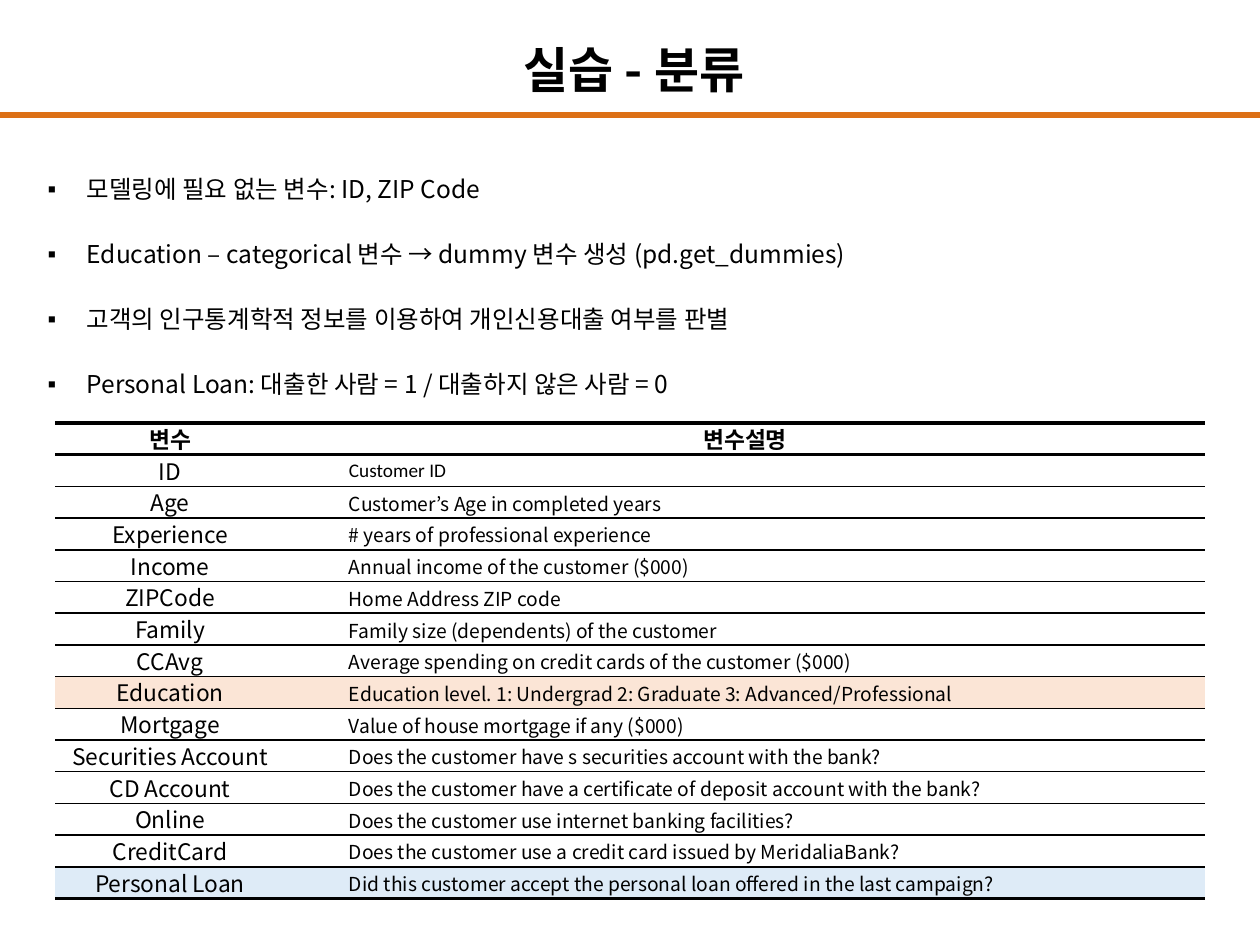
"""Build the classification exercise slide with its variable table."""
import pptx
import pptx.dml.color
import pptx.enum.shapes
import pptx.enum.text
import pptx.oxml
import pptx.oxml.ns
import pptx.util

PX = 914400 // 126
BLACK = pptx.dml.color.RGBColor(0x00, 0x00, 0x00)
WHITE = pptx.dml.color.RGBColor(0xFF, 0xFF, 0xFF)
ORANGE = pptx.dml.color.RGBColor(0xDC, 0x70, 0x16)
PEACH = pptx.dml.color.RGBColor(0xFB, 0xE5, 0xD6)
PALE_BLUE = pptx.dml.color.RGBColor(0xDE, 0xEB, 0xF7)
KOREAN_FONT = "Noto Sans CJK KR"
LATIN_FONT = "Calibri"
NAMESPACE = pptx.oxml.ns.nsdecls("a")

BULLETS = [
    "모델링에 필요 없는 변수: ID, ZIP Code",
    "Education – categorical 변수 → dummy 변수 생성 (pd.get_dummies)",
    "고객의 인구통계학적 정보를 이용하여 개인신용대출 여부를 판별",
    "Personal Loan: 대출한 사람 = 1 / 대출하지 않은 사람 = 0",
]
VARIABLES = [
    ("변수", "변수설명"),
    ("ID", "Customer ID"),
    ("Age", "Customer’s Age in completed years"),
    ("Experience", "# years of professional experience"),
    ("Income", "Annual income of the customer ($000)"),
    ("ZIPCode", "Home Address ZIP code"),
    ("Family", "Family size (dependents) of the customer"),
    ("CCAvg", "Average spending on credit cards of the customer ($000)"),
    ("Education", "Education level. 1: Undergrad 2: Graduate 3: Advanced/Professional"),
    ("Mortgage", "Value of house mortgage if any ($000)"),
    ("Securities Account", "Does the customer have s securities account with the bank?"),
    ("CD Account", "Does the customer have a certificate of deposit account with the bank?"),
    ("Online", "Does the customer use internet banking facilities?"),
    ("CreditCard", "Does the customer use a credit card issued by MeridaliaBank?"),
    ("Personal Loan", "Did this customer accept the personal loan offered in the last campaign?"),
]
ROW_FILLS = {"Education": PEACH, "Personal Loan": PALE_BLUE}


def format_runs(paragraph, size, bold=False, name=KOREAN_FONT):
    for run in paragraph.runs:
        run.font.size = pptx.util.Pt(size)
        run.font.bold = bold
        run.font.name = name
        run.font.color.rgb = BLACK
        run.font._element.set("kern", "0")
        run.font._element.find(pptx.oxml.ns.qn("a:latin")).addnext(
            pptx.oxml.parse_xml(f'<a:ea {NAMESPACE} typeface="{KOREAN_FONT}"/>'))


def set_borders(cell, top, bottom):
    properties = cell._tc.get_or_add_tcPr()
    borders = [("lnL", 0), ("lnR", 0), ("lnT", top), ("lnB", bottom)]
    for position, (side, points) in enumerate(borders):
        paint = f'<a:solidFill><a:srgbClr val="{BLACK}"/></a:solidFill>' if points else "<a:noFill/>"
        properties.insert(position, pptx.oxml.parse_xml(
            f'<a:{side} {NAMESPACE} w="{int(pptx.util.Pt(points))}">{paint}</a:{side}>'))


presentation = pptx.Presentation()
presentation.slide_width = pptx.util.Inches(10)
presentation.slide_height = pptx.util.Inches(7.5)
slide = presentation.slides.add_slide(presentation.slide_layouts[1])

panel = slide.shapes.add_shape(
    pptx.enum.shapes.MSO_SHAPE.RECTANGLE, 34 * PX, 38 * PX, 1191 * PX, 873 * PX)
panel.shadow.inherit = False
panel.fill.solid()
panel.fill.fore_color.rgb = WHITE
panel.line.color.rgb = WHITE
panel.line.width = pptx.util.Pt(2.25)
slide.shapes.title._element.addprevious(panel._element)

rule = slide.shapes.add_connector(
    pptx.enum.shapes.MSO_CONNECTOR.STRAIGHT, 0, 115 * PX, 1260 * PX, 115 * PX)
rule.line.color.rgb = ORANGE
rule.line.width = pptx.util.Pt(3)
rule._element.spPr.append(pptx.oxml.parse_xml(f"<a:effectLst {NAMESPACE}/>"))

title = slide.shapes.title
title.left, title.top, title.width, title.height = 54 * PX, 33 * PX, 1160 * PX, 72 * PX
title.text_frame.text = "실습 - 분류"
title.text_frame.auto_size = pptx.enum.text.MSO_AUTO_SIZE.NONE
title.text_frame.paragraphs[0].alignment = pptx.enum.text.PP_ALIGN.CENTER
format_runs(title.text_frame.paragraphs[0], 28, bold=True)

body = slide.placeholders[1]
body.left, body.top, body.width, body.height = 35 * PX, 153 * PX, 1211 * PX, 254 * PX
body.text_frame.text = "\n".join(BULLETS)
body.text_frame.auto_size = pptx.enum.text.MSO_AUTO_SIZE.NONE
for paragraph in body.text_frame.paragraphs:
    paragraph.line_spacing = 1.5
    paragraph.space_before = paragraph.space_after = pptx.util.Pt(6)
    properties = paragraph._p.get_or_add_pPr()
    properties.set("marL", str(39 * PX))
    properties.set("indent", str(-48 * PX))
    properties.append(pptx.oxml.parse_xml(f'<a:buChar {NAMESPACE} char="▪"/>'))
    format_runs(paragraph, 14)

table = slide.shapes.add_table(
    len(VARIABLES), 2, 55 * PX, 423 * PX, 1150 * PX, 476 * PX).table
table.first_row = table.horz_banding = False
table.columns[0].width, table.columns[1].width = 230 * PX, 920 * PX
last = len(VARIABLES) - 1
for index, variable in enumerate(VARIABLES):
    for column, text in enumerate(variable):
        cell = table.cell(index, column)
        cell.margin_left = cell.margin_right = cell.margin_top = PX
        cell.margin_bottom = 0
        cell.vertical_anchor = pptx.enum.text.MSO_ANCHOR.MIDDLE
        cell.fill.solid()
        cell.fill.fore_color.rgb = ROW_FILLS.get(variable[0], WHITE)
        set_borders(cell, 2.25 if index < 2 else 1, 2.25 if index in (0, last) else 1)
        cell.text_frame.text = text
        paragraph = cell.text_frame.paragraphs[0]
        described = index > 0 and column == 1
        if described:
            paragraph.level = 1
            paragraph._p.get_or_add_pPr().set("marL", str(63 * PX))
        else:
            paragraph.alignment = pptx.enum.text.PP_ALIGN.CENTER
            paragraph.line_spacing = 0.92
        name = LATIN_FONT if text in ("변수", "Customer ID") else KOREAN_FONT
        format_runs(paragraph, 11 if described else 13, index == 0, name)

presentation.save("out.pptx")
